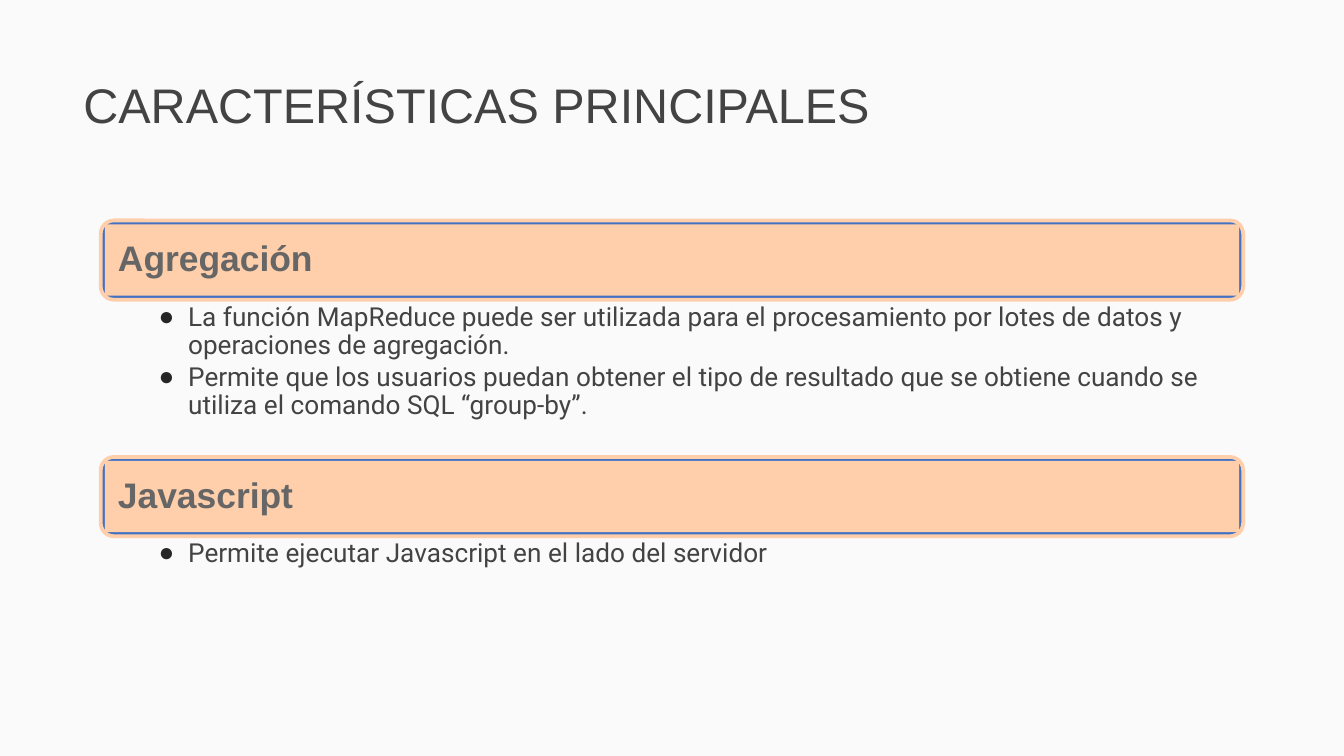
import pptx
import pptx.util
import pptx.dml.color
import pptx.enum.shapes
import pptx.enum.text
import pptx.oxml.ns
import lxml.etree

Inches = pptx.util.Inches
Pt = pptx.util.Pt
RGBColor = pptx.dml.color.RGBColor
MSO_SHAPE = pptx.enum.shapes.MSO_SHAPE
MSO_ANCHOR = pptx.enum.text.MSO_ANCHOR
PP_ALIGN = pptx.enum.text.PP_ALIGN
qn = pptx.oxml.ns.qn

BACKGROUND = RGBColor(0xFA, 0xFA, 0xFA)
DARK = RGBColor(0x43, 0x43, 0x43)
GRAY = RGBColor(0x66, 0x66, 0x66)
BULLET = RGBColor(0x26, 0x26, 0x26)
BLUE = RGBColor(0x43, 0x72, 0xC3)
PEACH = RGBColor(0xFF, 0xCE, 0xAA)

SECTIONS = [
    ("Agregación", [
        "La función MapReduce puede ser utilizada para el procesamiento por lotes de datos y operaciones de agregación.",
        "Permite que los usuarios puedan obtener el tipo de resultado que se obtiene cuando se utiliza el comando SQL “group-by”.",
    ]),
    ("Javascript", ["Permite ejecutar Javascript en el lado del servidor"]),
]


def set_frame(tf, anchor, left, top, right, bottom):
    tf.word_wrap = True
    tf.auto_size = pptx.enum.text.MSO_AUTO_SIZE.NONE
    tf.vertical_anchor = anchor
    tf.margin_left, tf.margin_top = Inches(left), Inches(top)
    tf.margin_right, tf.margin_bottom = Inches(right), Inches(bottom)


def add_run(p, text, font, size, color, bold=False):
    p.alignment = PP_ALIGN.LEFT
    r = p.add_run()
    r.text = text
    r.font.name = font
    r.font.size = Pt(size)
    r.font.bold = bold
    r.font.color.rgb = color


prs = pptx.Presentation()
prs.slide_width = Inches(10)
prs.slide_height = Inches(10) * 9 // 16
s = prs.slides.add_slide(prs.slide_layouts[3])
s.background.fill.solid()
s.background.fill.fore_color.rgb = BACKGROUND

title = s.shapes.title
title.left, title.top = Inches(0.52), Inches(0.22)
title.width, title.height = Inches(6.47), Inches(0.82)
set_frame(title.text_frame, MSO_ANCHOR.BOTTOM, 0.1, 0.05, 0.1, 0.05)
add_run(title.text_frame.paragraphs[0], "CARACTERÍSTICAS PRINCIPALES", "Arial", 26, DARK)

left, width, header_height, list_height, inset = 0.75, 8.5, 0.59, 1.17, 0.03

for i, (heading, items) in enumerate(SECTIONS):
    top = 1.64 + i * (header_height + list_height)

    frame = s.shapes.add_shape(
        MSO_SHAPE.ROUNDED_RECTANGLE,
        Inches(left), Inches(top), Inches(width), Inches(header_height))
    frame.shadow.inherit = False
    frame.fill.solid()
    frame.fill.fore_color.rgb = BLUE
    frame.line.color.rgb = PEACH
    frame.line.width = Pt(2)

    header = s.shapes.add_shape(
        MSO_SHAPE.RECTANGLE, Inches(left + inset), Inches(top + inset),
        Inches(width - 2 * inset), Inches(header_height - 2 * inset))
    header.shadow.inherit = False
    header.fill.solid()
    header.fill.fore_color.rgb = PEACH
    header.line.fill.background()
    set_frame(header.text_frame, MSO_ANCHOR.MIDDLE, 0.1, 0.1, 0.1, 0.1)
    p = header.text_frame.paragraphs[0]
    p.line_spacing = 0.9
    add_run(p, heading, "Arial", 19, GRAY, bold=True)

    body = s.placeholders[i + 1]
    body.left, body.top = Inches(left), Inches(top + header_height)
    body.width, body.height = Inches(width), Inches(list_height)
    tf = body.text_frame
    set_frame(tf, MSO_ANCHOR.TOP, 0.27, 0.03, 0.18, 0.03)
    for j, item in enumerate(items):
        p = tf.add_paragraph() if j else tf.paragraphs[0]
        pPr = p._p.get_or_add_pPr()
        pPr.set("marL", str(Inches(0.38)))
        pPr.set("indent", str(Inches(-0.22)))
        color = lxml.etree.SubElement(pPr, qn("a:buClr"))
        lxml.etree.SubElement(color, qn("a:srgbClr"), val=str(BULLET))
        lxml.etree.SubElement(pPr, qn("a:buChar"), char="●")
        p.line_spacing = 0.9
        p.space_before = Pt(2 if j else 0)
        add_run(p, item, "Roboto", 14, DARK)

prs.save("out.pptx")
